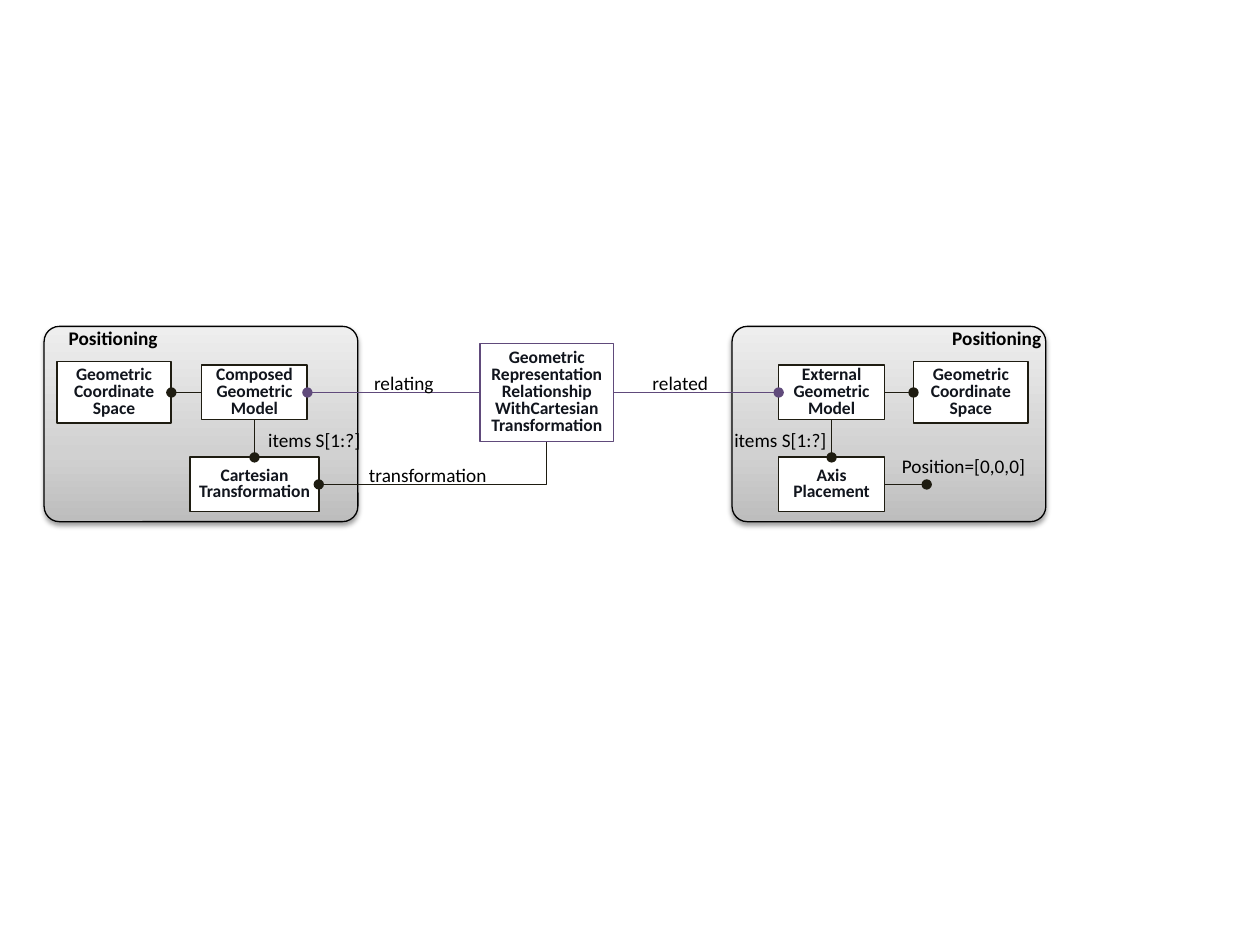
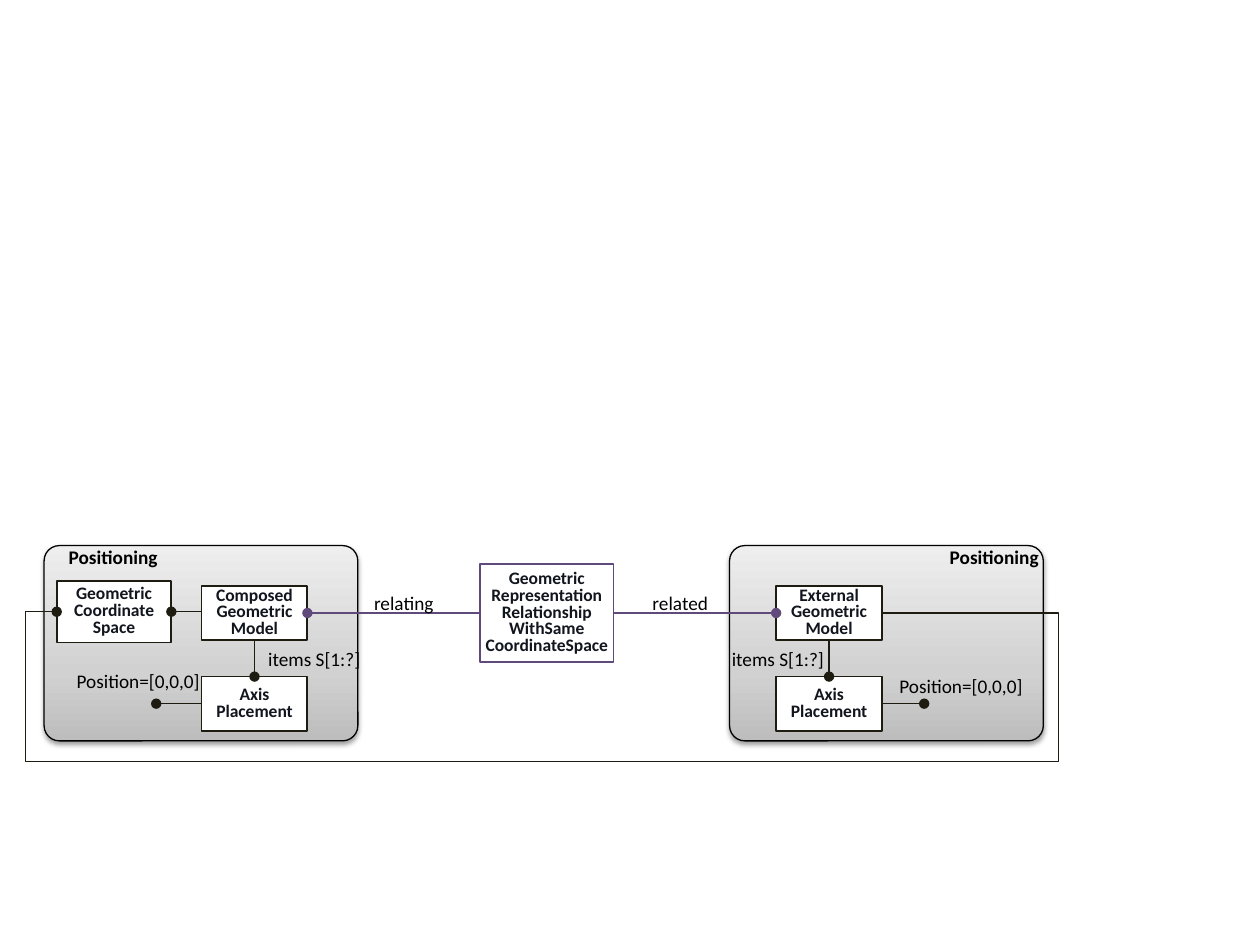
from collections import namedtuple
from copy import deepcopy

from lxml import etree
from pptx import Presentation
from pptx.dml.color import RGBColor
from pptx.enum import shapes, text
from pptx.oxml.ns import qn
from pptx.util import Pt

FONT = "Calibri"
BLACK = RGBColor(0x00, 0x00, 0x00)
WHITE = RGBColor(0xFF, 0xFF, 0xFF)
INK = RGBColor(0x11, 0x15, 0x1D)
DARK = RGBColor(0x1E, 0x1C, 0x11)
PURPLE = RGBColor(0x60, 0x4A, 0x7B)
PANEL_STOPS = [
    (0, RGBColor(0xBD, 0xBD, 0xBD)),
    (0.35, RGBColor(0xD1, 0xD1, 0xD1)),
    (1, RGBColor(0xEE, 0xEE, 0xEE)),
]

PANEL_WIDTH, PANEL_HEIGHT = 179.28, 111.6
MODEL_WIDTH, BOX_HEIGHT = 60.48, 30.96
SPACE_WIDTH, SPACE_HEIGHT = 65.52, 35.28
RELATION_WIDTH, RELATION_HEIGHT = 76.32, 56.16
LABEL_HEIGHT = 20.88
SPACE_DROP, ITEM_DROP, ITEM_LABEL_DROP = 20.16, 74.88, 54.72
LEFT_PANEL_X, RELATION_X = 25.2, 274.32

SPACE_TEXT = "Geometric\nCoordinate\nSpace"
PLACEMENT_TEXT = "Axis\nPlacement"


class Box(namedtuple("Box", "x y width height")):
    @property
    def right(self):
        return self.x + self.width

    @property
    def bottom(self):
        return self.y + self.height

    @property
    def center_x(self):
        return self.x + self.width / 2

    @property
    def center_y(self):
        return self.y + self.height / 2

    def points(self):
        return [Pt(value) for value in self]


Side = namedtuple(
    "Side", "align model model_x space_x item_label_x position_x position_drop position_end")
LEFT = Side(text.PP_ALIGN.LEFT, "Composed", 90, 7.2, 120.96, 11.52, 66.96, -25.92)
RIGHT = Side(text.PP_ALIGN.RIGHT, "External", 26.64, 103.68, -5.76, 90, 69.84, 24.12)
Panel = namedtuple("Panel", "model item space")


def set_all(target, values):
    for name, value in values.items():
        setattr(target, name, value)


def write(shape, words, size, color, bold, align, spacing, frame_format):
    frame = shape.text_frame
    set_all(frame, frame_format)
    frame.text = words
    for paragraph in frame.paragraphs:
        set_all(paragraph, {"alignment": align, "line_spacing": spacing})
        for run in paragraph.runs:
            set_all(run.font, {"name": FONT, "size": Pt(size), "bold": bold})
            run.font.color.rgb = color


def add_shape(slide, kind, box, line_color, line_width):
    shape = slide.shapes.add_shape(kind, *box.points())
    shape.shadow.inherit = False
    shape.line.color.rgb = line_color
    shape.line.width = Pt(line_width)
    return shape


def add_entity(slide, box, words, line_color=DARK):
    shape = add_shape(slide, shapes.MSO_SHAPE.RECTANGLE, box, line_color, 1)
    shape.fill.solid()
    shape.fill.fore_color.rgb = WHITE
    margins = {f"margin_{edge}": Pt(2.88) for edge in ("left", "top", "right", "bottom")}
    write(shape, words, 10, INK, True, text.PP_ALIGN.CENTER, 0.8,
          {"vertical_anchor": text.MSO_ANCHOR.MIDDLE, "word_wrap": True, **margins})


def add_label(slide, x, y, width, words):
    label = slide.shapes.add_textbox(*Box(x, y, width, LABEL_HEIGHT).points())
    write(label, words, 11, BLACK, False, text.PP_ALIGN.LEFT, 1.0,
          {"word_wrap": False, "auto_size": text.MSO_AUTO_SIZE.SHAPE_TO_FIT_TEXT})


def add_link(slide, start, end, color=DARK, preset="line", adjustments=()):
    connector = slide.shapes.add_connector(
        shapes.MSO_CONNECTOR.STRAIGHT, *[Pt(value) for value in (*start, *end)])
    connector.line.color.rgb = color
    connector.line.width = Pt(0.75)
    properties = connector.element.spPr
    etree.SubElement(connector.line._get_or_add_ln(), qn("a:headEnd"), type="oval")
    etree.SubElement(properties, qn("a:effectLst"))
    geometry = properties.find(qn("a:prstGeom"))
    geometry.set("prst", preset)
    guides = geometry.find(qn("a:avLst"))
    for number, ratio in enumerate(adjustments, 1):
        etree.SubElement(guides, qn("a:gd"), name=f"adj{number}",
                         fmla=f"val {round(ratio * 100000)}")


def add_panel_frame(slide, box, align):
    shape = add_shape(slide, shapes.MSO_SHAPE.ROUNDED_RECTANGLE, box, BLACK, 0.75)
    shape.adjustments[0] = 0.078
    shape.fill.gradient()
    shape.fill.gradient_angle = 90
    stop_list = shape.element.spPr.find(".//" + qn("a:gsLst"))
    stop_list.append(deepcopy(stop_list[0]))
    for stop, (position, color) in zip(shape.fill.gradient_stops, PANEL_STOPS):
        stop.position = position
        stop.color.rgb = color
    effects = shape.element.spPr.find(qn("a:effectLst"))
    shadow = etree.SubElement(effects, qn("a:outerShdw"), blurRad=str(Pt(3.1)),
                              dist=str(Pt(1.6)), dir="5400000", rotWithShape="0")
    shade = etree.SubElement(shadow, qn("a:srgbClr"), val=str(BLACK))
    etree.SubElement(shade, qn("a:alpha"), val="38000")
    write(shape, "Positioning", 11, BLACK, True, align, 0.8,
          {"vertical_anchor": text.MSO_ANCHOR.TOP, "word_wrap": True,
           "margin_left": Pt(11.52), "margin_top": 0, "margin_right": 0, "margin_bottom": 0})


def add_position(slide, box, item, side):
    edge = item.right if side.position_end > 0 else item.x
    add_link(slide, (edge + side.position_end, item.center_y), (edge, item.center_y))
    add_label(slide, box.x + side.position_x, box.y + side.position_drop, 90.72,
              "Position=[0,0,0] ")


def add_panel(slide, box, side, model_drop, item_text=PLACEMENT_TEXT,
              item_width=MODEL_WIDTH, has_space=True, has_position=True):
    add_panel_frame(slide, box, side.align)
    model = Box(box.x + side.model_x, box.y + model_drop, MODEL_WIDTH, BOX_HEIGHT)
    item = Box(model.center_x - item_width / 2, box.y + ITEM_DROP, item_width, BOX_HEIGHT)
    space = Box(box.x + side.space_x, box.y + SPACE_DROP, SPACE_WIDTH, SPACE_HEIGHT)
    add_entity(slide, model, f"{side.model}\nGeometric\nModel")
    add_entity(slide, item, item_text)
    add_link(slide, (item.center_x, item.y), (model.center_x, model.bottom))
    add_label(slide, box.x + side.item_label_x, box.y + ITEM_LABEL_DROP, 67.68, "items S[1:?]")
    if has_space:
        add_entity(slide, space, SPACE_TEXT)
        ends = (space.right, model.x) if space.x < model.x else (space.x, model.right)
        add_link(slide, *[(x, space.center_y) for x in ends])
    if has_position:
        add_position(slide, box, item, side)
    return Panel(model, item, space)


def add_relation(slide, left, right, kind):
    y = left.model.center_y
    box = Box(RELATION_X, y - RELATION_HEIGHT / 2, RELATION_WIDTH, RELATION_HEIGHT)
    add_entity(slide, box, f"Geometric\nRepresentation\nRelationship\v{kind}", PURPLE)
    add_link(slide, (left.model.right, y), (box.x, y), PURPLE)
    add_link(slide, (right.model.x, y), (box.right, y), PURPLE)
    label_y = left.model.y - 0.36
    add_label(slide, 206.64, label_y, 48.96, "relating")
    add_label(slide, 365.76, label_y, 46.8, "related")
    return box


def add_transformation_slide(presentation, top):
    slide = presentation.slides.add_slide(presentation.slide_layouts[6])
    model_drop = 22.32
    left = add_panel(slide, Box(LEFT_PANEL_X, top, PANEL_WIDTH, PANEL_HEIGHT), LEFT, model_drop,
                     "Cartesian\vTransformation", 73.44, has_position=False)
    right = add_panel(slide, Box(418.32, top, PANEL_WIDTH, PANEL_HEIGHT), RIGHT, model_drop)
    relation = add_relation(slide, left, right, "WithCartesian\vTransformation")
    add_link(slide, (left.item.right, left.item.center_y), (relation.center_x, relation.bottom),
             preset="bentConnector2")
    add_label(slide, 203.76, top + ITEM_DROP, 82.8, "transformation")


def add_same_space_slide(presentation, top):
    slide = presentation.slides.add_slide(presentation.slide_layouts[6])
    model_drop = 23.04
    left = add_panel(slide, Box(LEFT_PANEL_X, top, PANEL_WIDTH, PANEL_HEIGHT), LEFT, model_drop)
    right = add_panel(slide, Box(416.88, top, PANEL_WIDTH, PANEL_HEIGHT), RIGHT, model_drop,
                      has_space=False)
    add_relation(slide, left, right, "WithSame\vCoordinateSpace")
    start = (left.space.x, left.space.center_y)
    end = (right.model.right, right.model.center_y)
    width, height = end[0] - start[0], end[1] - start[1]
    loop_left, loop_bottom, loop_right = 14.4, 436.7, 604.8
    add_link(slide, start, end, preset="bentConnector5", adjustments=(
        (loop_left - start[0]) / width,
        (loop_bottom - start[1]) / height,
        (loop_right - start[0]) / width))


presentation = Presentation()
presentation.slide_width, presentation.slide_height = Pt(720), Pt(540)
add_transformation_slide(presentation, 186.48)
add_same_space_slide(presentation, 311.76)
presentation.save("out.pptx")
